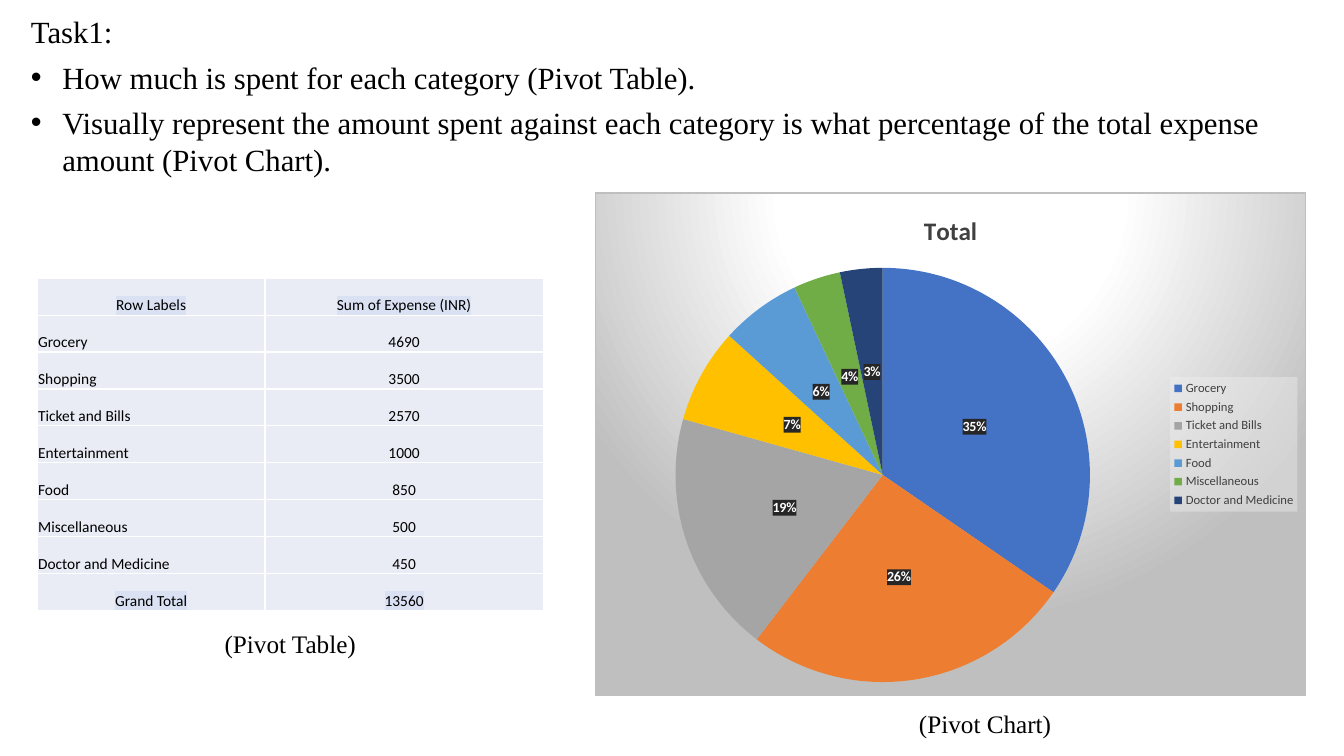
"""Build the expense slide with its pivot table and pivot chart."""
from dataclasses import dataclass

from lxml import etree
from pptx import Presentation
from pptx import util as u
from pptx.chart import data
from pptx.dml.color import RGBColor
from pptx.enum import chart as ch
from pptx.enum import text
from pptx.oxml import ns

SERIF, SANS = "Times New Roman", "Calibri"
A = "http://schemas.openxmlformats.org/drawingml/2006/main"
C = "http://schemas.openxmlformats.org/drawingml/2006/chart"


@dataclass
class Expense:
    name: str
    cost: int
    shade: str


@dataclass
class Block:
    x: float
    y: float
    w: float
    h: float
    size: int
    lines: list[str]
    points: bool = False


COSTS = [
    Expense("Grocery", 4690, "4472C4"),
    Expense("Shopping", 3500, "ED7D31"),
    Expense("Ticket and Bills", 2570, "A5A5A5"),
    Expense("Entertainment", 1000, "FFC000"),
    Expense("Food", 850, "5B9BD5"),
    Expense("Miscellaneous", 500, "70AD47"),
    Expense("Doctor and Medicine", 450, "264478"),
]
BLOCKS = [
    Block(0.53, 0.2, 32.39, 4.45, 22, [
        "Task1:",
        "How much is spent for each category (Pivot Table).",
        "Visually represent the amount spent against each category is what "
        "percentage of the total expense amount (Pivot Chart).",
    ], True),
    Block(5.41, 15.72, 3.86, 1.02, 18, ["(Pivot Table)"]),
    Block(22.91, 17.73, 4.01, 1.02, 18, ["(Pivot Chart)"]),
]


def tint(shade: str) -> RGBColor:
    return RGBColor.from_string(shade)


def style(font, face: str, size: float, shade: str, bold: bool = False) -> None:
    font.name, font.size, font.bold = face, u.Pt(size), bold
    font.color.rgb = tint(shade)


def solid(shade: str, alpha: int = 100) -> str:
    return (f'<a:solidFill><a:srgbClr val="{shade}">'
            f'<a:alpha val="{alpha * 1000}"/></a:srgbClr></a:solidFill>')


def node(tag: str, inner: str):
    name = tag.split()[0]
    return etree.fromstring(f'<{tag} xmlns:a="{A}" xmlns:c="{C}">{inner}</{name}>')


def paint(owner, inner: str) -> None:
    owner.find(ns.qn("c:txPr")).addprevious(node("c:spPr", inner))


def add_block(slide, block: Block) -> None:
    box = slide.shapes.add_textbox(*map(u.Cm, (block.x, block.y, block.w, block.h)))
    frame = box.text_frame
    frame.word_wrap = block.points
    frame.auto_size = text.MSO_AUTO_SIZE.SHAPE_TO_FIT_TEXT
    for i, line in enumerate(block.lines):
        para = frame.paragraphs[0] if i == 0 else frame.add_paragraph()
        run = para.add_run()
        run.text = line
        style(run.font, SERIF, block.size, "000000")
        if block.points:
            para.space_before = u.Pt(6)
        if i:
            props = para._p.get_or_add_pPr()
            props.set("marL", str(u.Cm(0.79)))
            props.set("indent", str(-u.Cm(0.79)))
            props.append(node("a:buFont typeface='Arial'", ""))
            props.append(node("a:buChar char='•'", ""))


def fill_cell(cell, words: str, centred: bool, marked: bool) -> None:
    cell.fill.solid()
    cell.fill.fore_color.rgb = tint("E9EBF5")
    cell.vertical_anchor = text.MSO_ANCHOR.BOTTOM
    cell.margin_left = cell.margin_right = cell.margin_top = u.Cm(0.02)
    cell.margin_bottom = 0
    props = cell._tc.get_or_add_tcPr()
    for i, side in enumerate("LRTB"):
        props.insert(i, node(f"a:ln{side} w='{u.Pt(1)}'", solid("FFFFFF")))
    para = cell.text_frame.paragraphs[0]
    para.alignment = text.PP_ALIGN.CENTER if centred else text.PP_ALIGN.LEFT
    run = para.add_run()
    run.text = words
    style(run.font, SANS, 11, "000000")
    if marked:
        colour = run._r.rPr.find(ns.qn("a:solidFill"))
        colour.addnext(node("a:highlight", '<a:srgbClr val="D9E1F2"/>'))


def add_grid(slide) -> None:
    total = sum(cost.cost for cost in COSTS)
    rows = [("Row Labels", "Sum of Expense (INR)"),
            *((cost.name, str(cost.cost)) for cost in COSTS),
            ("Grand Total", str(total))]
    high, wide = 0.93, (5.74, 7.01)
    grid = slide.shapes.add_table(
        len(rows), 2, u.Cm(0.94), u.Cm(7.01), u.Cm(sum(wide)),
        u.Cm(high * len(rows))).table
    grid.first_row = grid.horz_banding = False
    for col, width in zip(grid.columns, wide):
        col.width = u.Cm(width)
    for r, row in enumerate(rows):
        grid.rows[r].height = u.Cm(high)
        edge = r in (0, len(rows) - 1)
        for c, words in enumerate(row):
            fill_cell(grid.cell(r, c), words, edge or c == 1, edge)


def add_pie(slide) -> None:
    source = data.CategoryChartData()
    source.categories = [cost.name for cost in COSTS]
    source.add_series("Total", [cost.cost for cost in COSTS])
    pie = slide.shapes.add_chart(
        ch.XL_CHART_TYPE.PIE, u.Cm(14.99), u.Cm(4.85), u.Cm(17.93),
        u.Cm(12.7), source).chart
    style(pie.font, SANS, 10, "000000")
    stops = "".join(f'<a:gs pos="{pos * 1000}"><a:srgbClr val="{shade}"/></a:gs>'
                    for pos, shade in ((0, "FFFFFF"), (39, "FFFFFF"), (100, "BFBFBF")))
    paint(pie._chartSpace,
          f'<a:gradFill><a:gsLst>{stops}</a:gsLst><a:path path="circle">'
          '<a:fillToRect l="50000" t="-80000" r="50000" b="180000"/></a:path>'
          f'</a:gradFill><a:ln w="{u.Pt(0.75)}">{solid("BFBFBF")}</a:ln>')

    pie.has_title = True
    run = pie.chart_title.text_frame.paragraphs[0].add_run()
    run.text = "Total"
    style(run.font, SANS, 18, "404040", True)
    pie.chart_title.include_in_layout = False

    pie.has_legend = True
    pie.legend.position = ch.XL_LEGEND_POSITION.RIGHT
    pie.legend.include_in_layout = False
    style(pie.legend.font, SANS, 9, "404040")
    paint(pie.legend._element, solid("F2F2F2", 39))

    plot = pie.plots[0]
    plot.vary_by_categories = True
    for i, cost in enumerate(COSTS):
        fill = plot.series[0].points[i].format.fill
        fill.solid()
        fill.fore_color.rgb = tint(cost.shade)
    labels = plot.series[0].data_labels
    labels.show_percentage, labels.show_value = True, False
    labels.number_format, labels.number_format_is_linked = "0%", False
    labels.position = ch.XL_LABEL_POSITION.CENTER
    style(labels.font, SANS, 10, "FFFFFF", True)
    paint(labels._element, solid("262626", 75))


def main() -> None:
    deck = Presentation()
    deck.slide_width, deck.slide_height = u.Cm(33.87), u.Cm(19.05)
    slide = deck.slides.add_slide(deck.slide_layouts[6])
    add_grid(slide)
    add_pie(slide)
    for block in BLOCKS:
        add_block(slide, block)
    deck.save("out.pptx")


if __name__ == "__main__":
    main()
